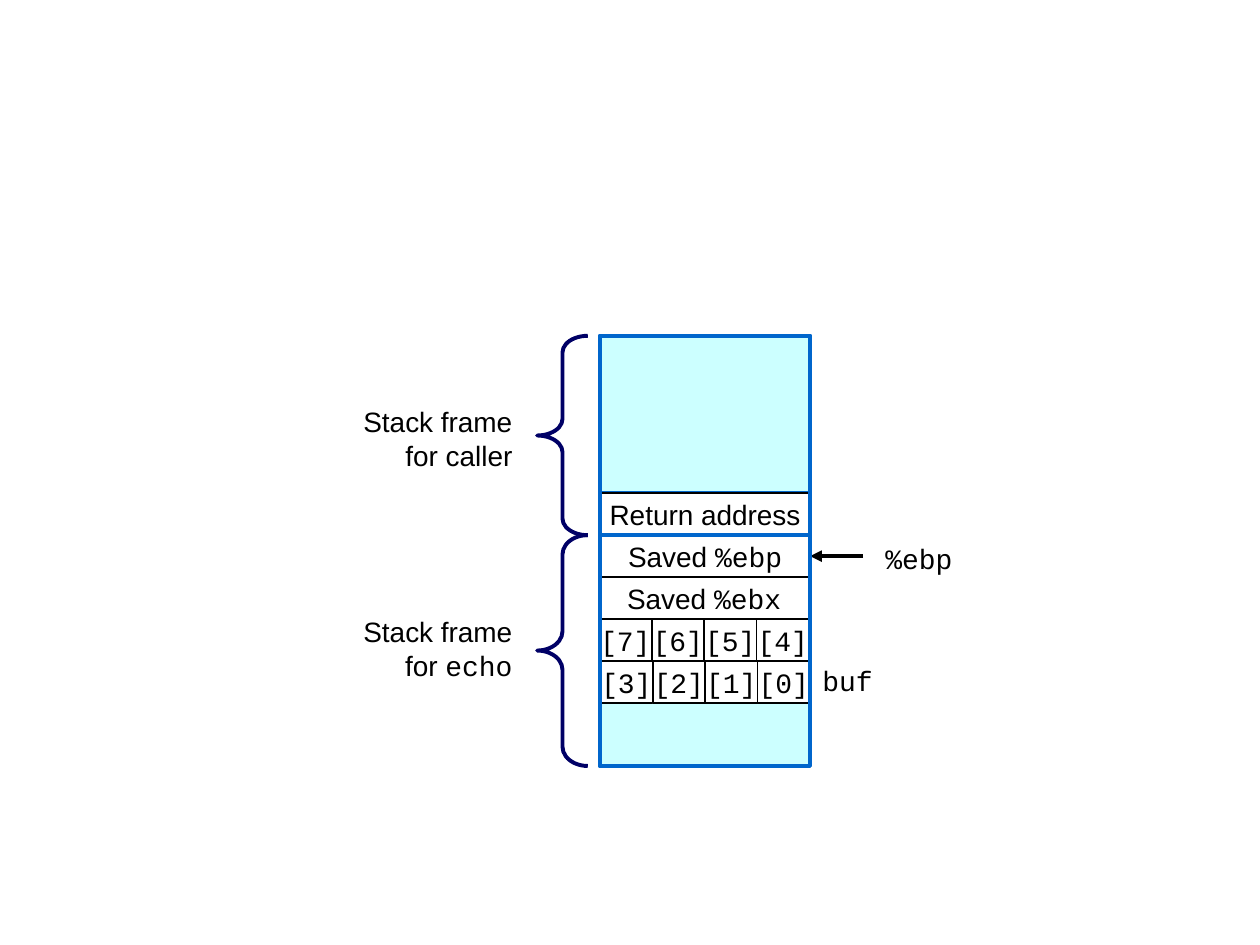
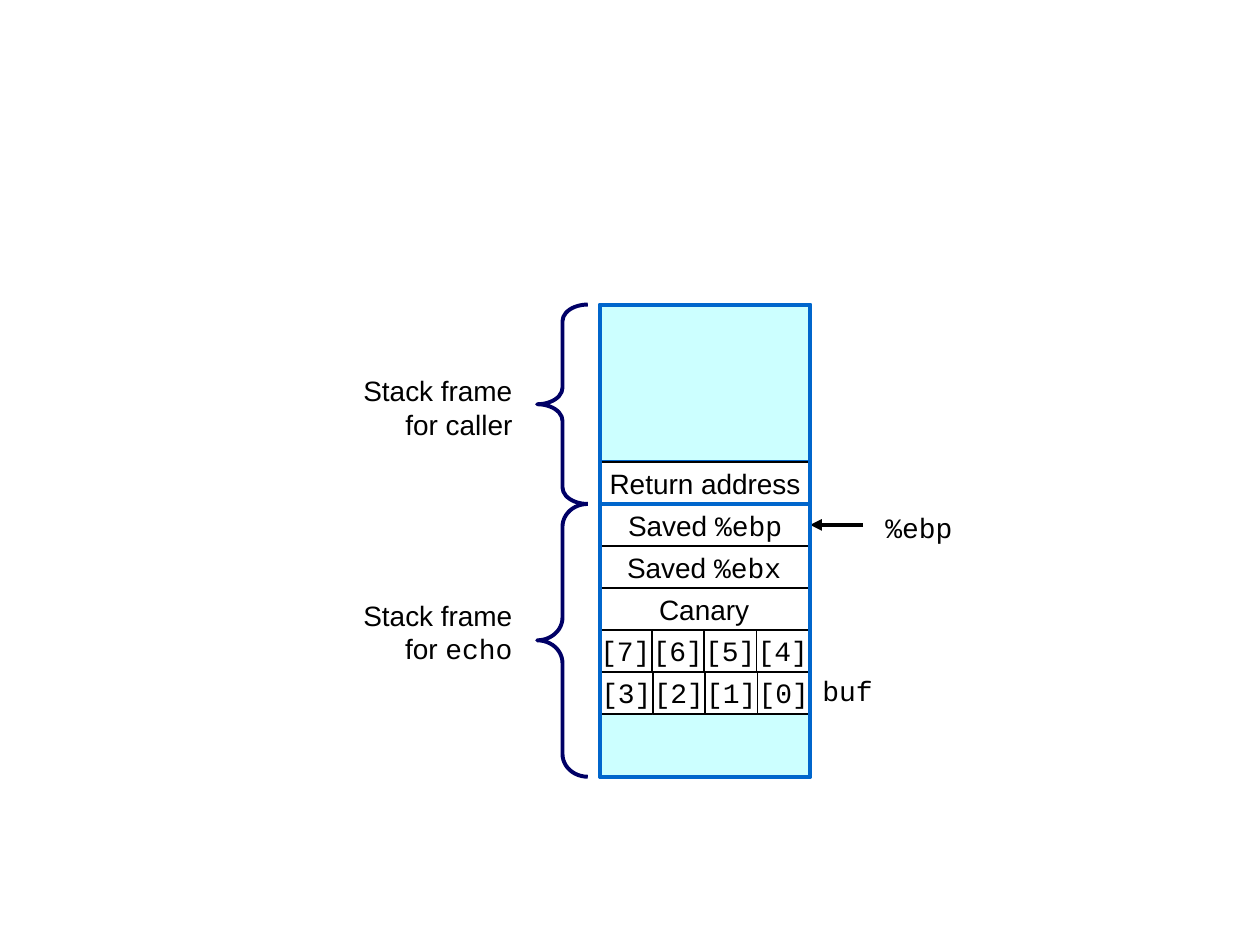
from dataclasses import dataclass
from typing import NamedTuple

from lxml.etree import SubElement
from pptx import Presentation
from pptx.dml.color import RGBColor as RGB
from pptx.enum.shapes import MSO_CONNECTOR as CONN, MSO_SHAPE as SHAPE
from pptx.enum.text import MSO_ANCHOR as ANCHOR, MSO_AUTO_SIZE as AUTO, PP_ALIGN as ALIGN
from pptx.oxml.ns import qn
from pptx.util import Cm, Pt


@dataclass(frozen=True)
class Theme:
    ink: RGB = RGB(0x00, 0x00, 0x00)
    paper: RGB = RGB(0xFF, 0xFF, 0xFF)
    unused: RGB = RGB(0xCC, 0xFF, 0xFF)
    frame: RGB = RGB(0x00, 0x66, 0xCC)
    brace: RGB = RGB(0x00, 0x00, 0x66)
    sans: str = "Arial"
    mono: str = "Courier New"
    size: float = 16
    thin: float = 1
    thick: float = 2.25


class Words(NamedTuple):
    """A line of text: prose, then code in the fixed-width font."""
    prose: str = ""
    code: str = ""


class Box(NamedTuple):
    """Left, top, width and height in centimetres."""
    left: float
    top: float
    width: float
    height: float

    def emu(self) -> tuple:
        return tuple(Cm(v) for v in self)


@dataclass(frozen=True)
class Row:
    cells: tuple[Words, ...]
    left: float


@dataclass(frozen=True)
class Stack:
    top: float
    rows: tuple[Row, ...]  # the rows of the echo frame
    echo_label_drop: float


T = Theme()

# Stack geometry in centimetres
LEFT, INNER_LEFT, WIDTH = 12.1, 12.08, 4.23
ROW = WIDTH / 5
CALLER_AREA = 3.75 * ROW
CALLER_FRAME = CALLER_AREA + ROW
SPARE = 1.5 * ROW
SAVED_ROWS = 3
BRACE_LEFT, BRACE_WIDTH = 10.83, 1.02
LABEL_LEFT, LABEL_WIDTH, LABEL_HEIGHT = 5.93, 4.65, 1.63
CALLER_LABEL_DROP = 1.27
SIDE, ARROW, NOTE_LEFT, NOTE_HEIGHT = LEFT + WIDTH, 1.07, 17.6, 0.94
EBP_WIDTH, BUF_WIDTH = 1.9, 1.55

# Stack contents
SAVED_EBP = Row((Words("Saved ", "%ebp"),), LEFT)
SAVED_EBX = Row((Words("Saved ", "%ebx"),), INNER_LEFT)
CANARY = Row((Words("Canary"),), INNER_LEFT)
HIGH_BYTES, LOW_BYTES = (
    Row(tuple(Words(code=f"[{i}]") for i in range(first, first - 4, -1)), left)
    for first, left in ((7, INNER_LEFT), (3, LEFT)))
STACKS = (
    Stack(6.77, (SAVED_EBP, SAVED_EBX, HIGH_BYTES, LOW_BYTES), 1.48),
    Stack(6.14, (SAVED_EBP, SAVED_EBX, CANARY, HIGH_BYTES, LOW_BYTES), 1.78),
)


def write(tf, lines: tuple[Words, ...], align) -> None:
    for i, words in enumerate(lines):
        p = tf.add_paragraph() if i else tf.paragraphs[0]
        p.text = words.prose or words.code
        if words.prose and words.code:
            p.add_run().text = words.code
        p.alignment = align
        for r in p.runs:
            r.font.name = T.mono if r.text == words.code else T.sans
            r.font.size = Pt(T.size)
            r.font.color.rgb = T.ink


def add_shape(s, kind, box: Box, line: RGB, weight: float, fill: RGB | None = None):
    sp = s.shapes.add_shape(kind, *box.emu())
    sp.shadow.inherit = False
    if fill is None:
        sp.fill.background()
    else:
        sp.fill.solid()
        sp.fill.fore_color.rgb = fill
    sp.line.color.rgb = line
    sp.line.width = Pt(weight)
    return sp


def add_cell(s, box: Box, words: Words):
    sp = add_shape(s, SHAPE.RECTANGLE, box, T.ink, T.thin, T.paper)
    tf = sp.text_frame
    tf.word_wrap = False
    tf.vertical_anchor = ANCHOR.MIDDLE
    write(tf, (words,), ALIGN.CENTER)
    return sp


def add_row(s, row: Row, top: float) -> list:
    width = WIDTH / len(row.cells)
    return [add_cell(s, Box(row.left + i * width, top, width, ROW), words)
            for i, words in enumerate(row.cells)]


def add_text(s, box: Box, lines: tuple[Words, ...], align=ALIGN.LEFT, wrap: bool = False) -> None:
    tf = s.shapes.add_textbox(*box.emu()).text_frame
    tf.word_wrap = wrap
    tf.auto_size = AUTO.SHAPE_TO_FIT_TEXT
    write(tf, lines, align)


def add_frame(s, top: float, height: float, label_drop: float, name: Words) -> None:
    """Outline of a stack frame with its brace and label."""
    add_shape(s, SHAPE.RECTANGLE, Box(LEFT, top, WIDTH, height), T.frame, T.thick)
    brace = add_shape(s, SHAPE.LEFT_BRACE, Box(BRACE_LEFT, top, BRACE_WIDTH, height),
                      T.brace, T.thick)
    brace.adjustments[0] = height / 12 / BRACE_WIDTH
    add_text(s, Box(LABEL_LEFT, top + label_drop, LABEL_WIDTH, LABEL_HEIGHT),
             (Words("Stack frame"), name), ALIGN.RIGHT, wrap=True)


def add_pointer(s, cell, top: float) -> None:
    """Arrow into the right side of a cell."""
    y = Cm(top + ROW / 2)
    cx = s.shapes.add_connector(CONN.STRAIGHT, Cm(SIDE + ARROW), y, Cm(SIDE), y)
    cx.end_connect(cell, 3)
    cx.line.color.rgb = T.ink
    cx.line.width = Pt(T.thick)
    SubElement(cx.line._get_or_add_ln(), qn("a:tailEnd"), type="triangle")
    SubElement(cx._element.spPr, qn("a:effectLst"))


def draw_stack(s, stack: Stack) -> None:
    echo_top = stack.top + CALLER_FRAME
    echo_height = len(stack.rows) * ROW + SPARE
    spare_top = echo_top + SAVED_ROWS * ROW

    # Shaded areas
    for top, height in ((stack.top, CALLER_AREA),
                        (spare_top, echo_top + echo_height - spare_top)):
        add_shape(s, SHAPE.RECTANGLE, Box(LEFT, top, WIDTH, height),
                  T.frame, T.thick, T.unused)

    # Caller frame
    add_cell(s, Box(LEFT, stack.top + CALLER_AREA, WIDTH, ROW), Words("Return address"))
    add_frame(s, stack.top, CALLER_FRAME, CALLER_LABEL_DROP, Words("for caller"))

    # Echo frame
    rows = [add_row(s, row, echo_top + i * ROW) for i, row in enumerate(stack.rows)]
    add_pointer(s, rows[0][0], echo_top)
    add_frame(s, echo_top, echo_height, stack.echo_label_drop, Words("for ", "echo"))

    # Notes on the right
    buf_top = echo_top + (len(rows) - 1) * ROW - 0.08
    add_text(s, Box(NOTE_LEFT, echo_top, EBP_WIDTH, NOTE_HEIGHT), (Words(code="%ebp"),))
    add_text(s, Box(SIDE, buf_top, BUF_WIDTH, NOTE_HEIGHT), (Words(code="buf"),))


def main() -> None:
    prs = Presentation()
    prs.slide_width, prs.slide_height = Cm(25.4), Cm(19.05)
    for stack in STACKS:
        draw_stack(prs.slides.add_slide(prs.slide_layouts[6]), stack)
    prs.save("out.pptx")


if __name__ == "__main__":
    main()
